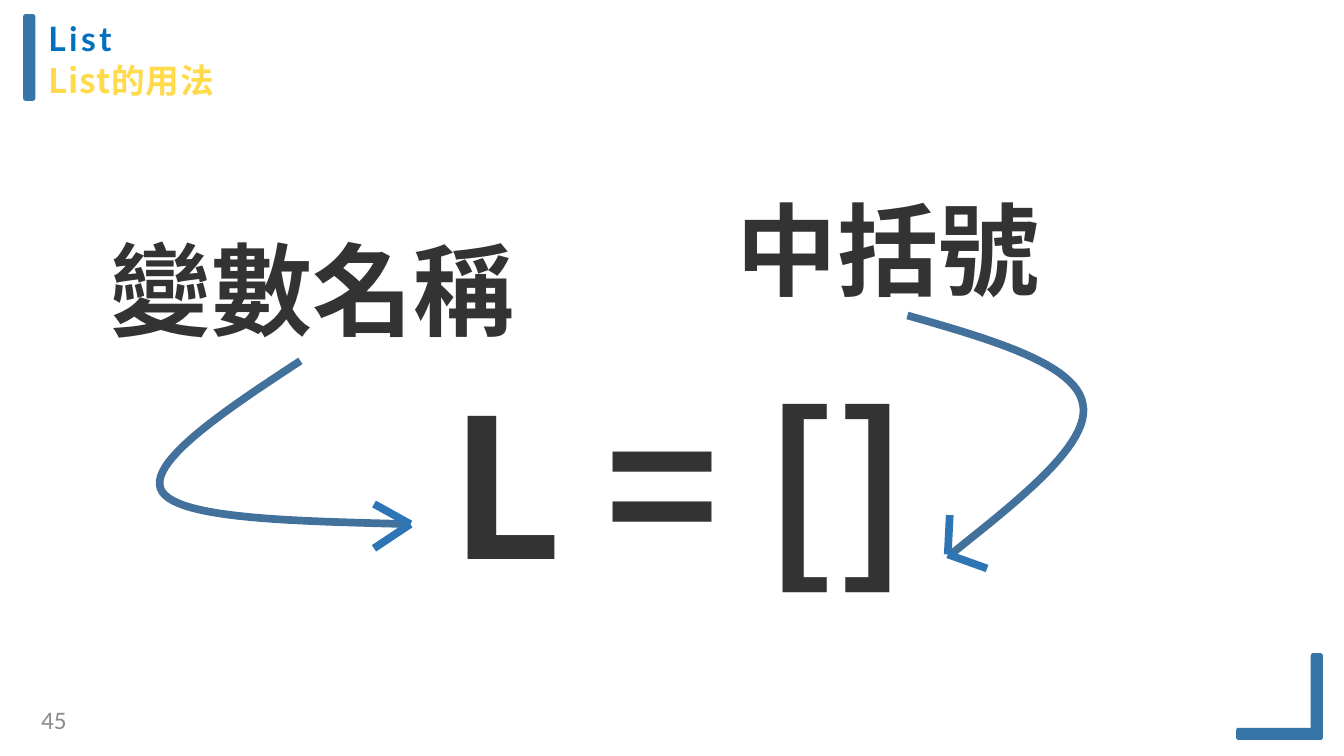
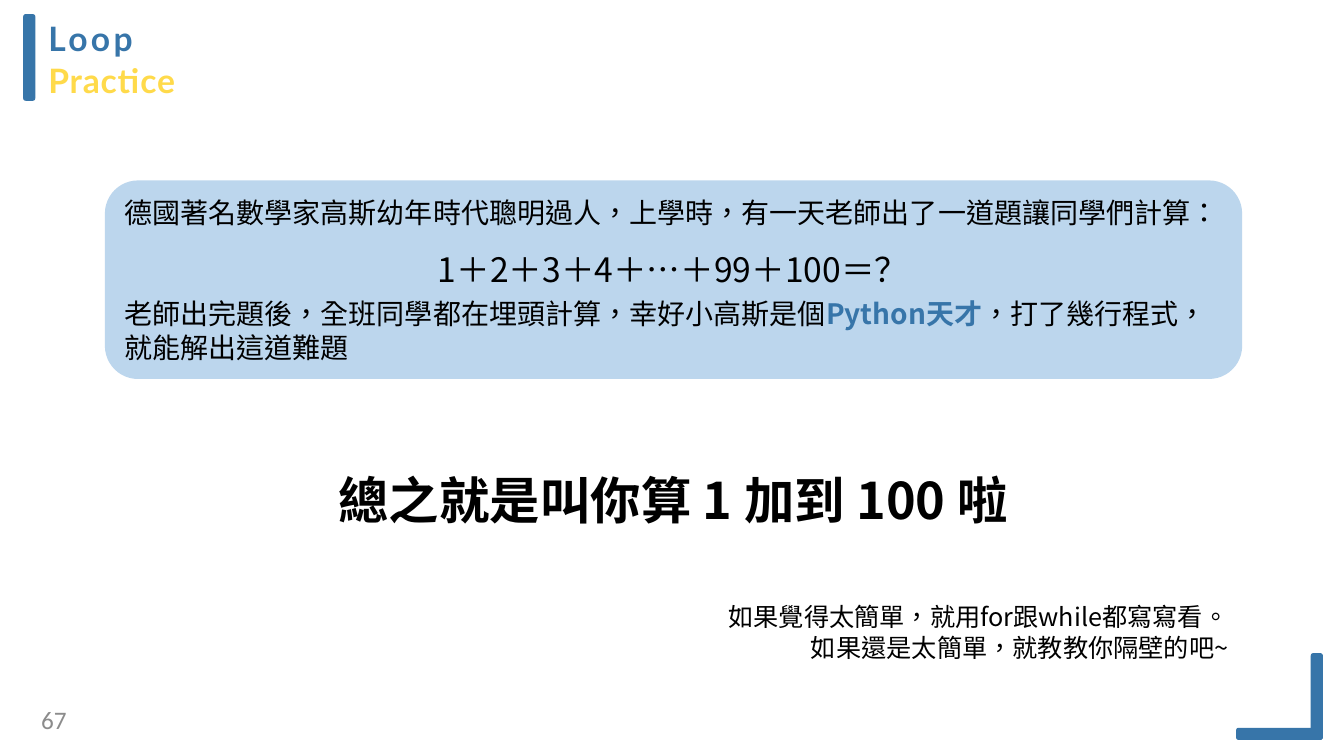
import pptx
import pptx.util
import pptx.dml.color
import pptx.enum.shapes
import pptx.enum.text
import pptx.oxml
import pptx.oxml.ns

Inches, Pt = pptx.util.Inches, pptx.util.Pt
Shape = pptx.enum.shapes.MSO_SHAPE
Line = pptx.enum.shapes.MSO_CONNECTOR
Align = pptx.enum.text.PP_ALIGN
Anchor = pptx.enum.text.MSO_ANCHOR

BLUE, YELLOW, SKY = "3775A9", "FFDA4A", "BCD6ED"
INK, BLACK, GRAY = "333333", "000000", "8C8C8C"
CURVE, HEAD = "42719B", "2E75B5"
SANS, BOLD = "Noto Sans CJK SC", "Noto Sans CJK TC"


def rgb(code):
    return pptx.dml.color.RGBColor.from_string(code)


def style(run, size, color, bold=False, font=SANS, track=0):
    run.font.size, run.font.bold, run.font.name = Pt(size), bold, font
    run.font.color.rgb = rgb(color)
    props = run._r.get_or_add_rPr()
    props.set("lang", "zh-TW")
    if track:
        props.set("spc", str(round(track * 100)))
    east = pptx.oxml.ns.qn("a:ea")
    props.find(pptx.oxml.ns.qn("a:latin")).addnext(
        props.makeelement(east, {"typeface": font}))


def inset(frame, left=0.1, top=0.05):
    frame.margin_left = frame.margin_right = Inches(left)
    frame.margin_top = frame.margin_bottom = Inches(top)
    frame.word_wrap = True


def label(slide, box, text, size, color, align=Align.LEFT, pad=(0.1, 0.05), **look):
    frame = slide.shapes.add_textbox(*map(Inches, box)).text_frame
    inset(frame, *pad)
    frame.text = text
    for para in frame.paragraphs:
        para.alignment = align
        for run in para.runs:
            style(run, size, color, **look)


def block(slide, kind, box, color):
    shape = slide.shapes.add_shape(kind, *map(Inches, box))
    shape.shadow.inherit = False
    shape.fill.solid()
    shape.fill.fore_color.rgb = rgb(color)
    shape.line.fill.background()
    return shape


def band(slide, box):
    bar = block(slide, Shape.ROUNDED_RECTANGLE, box, BLUE)
    bar.adjustments[0] = 0.2


def head(slide, box, topic, part, color, font):
    title = slide.shapes.title
    title.left, title.top, title.width, title.height = map(Inches, box)
    frame = title.text_frame
    inset(frame, 0, 0.02)
    frame.auto_size = pptx.enum.text.MSO_AUTO_SIZE.NONE
    frame.vertical_anchor = Anchor.TOP
    frame.text = f"{topic}\n{part}"
    first, second = frame.paragraphs
    first.alignment = second.alignment = Align.LEFT
    second.space_before = Pt(1)
    style(first.runs[0], 24, color, True, "Lato", 2.4)
    style(second.runs[0], 24, YELLOW, True, font, 0.6)


def page(deck, topic, part, number, color=BLUE, font="Lato"):
    """Add a slide with its title, bands and number."""
    slide = deck.slides.add_slide(deck.slide_layouts[5])
    head(slide, (0.48, 0.16, 4.52, 0.84), topic, part, color, font)
    for box in ((0.23, 0.14, 0.12, 0.86), (13, 6.48, 0.12, 0.86),
                (12.26, 7.22, 0.86, 0.12)):
        band(slide, box)
    label(slide, (0.08, 6.99, 0.58, 0.3), str(number), 18, GRAY,
          Align.RIGHT, (0, 0), font="Calibri")
    return slide


def bezier(start, *bends, steps=24):
    """List the points of joined cubic curves, each given as three points."""
    dots = [start]
    for one, two, end in bends:
        for step in range(1, steps + 1):
            t = step / steps
            parts = ((1 - t) ** 3, 3 * t * (1 - t) ** 2, 3 * t * t * (1 - t), t ** 3)
            dots.append(tuple(
                sum(w * p[axis] for w, p in zip(parts, (start, one, two, end)))
                for axis in (0, 1)))
        start = end
    return dots


def arrow(slide, origin, dots, tip, wings):
    """Draw a curved arrow; all points are measured from origin."""
    def place(dot):
        return tuple(Inches(o + d) for o, d in zip(origin, dot))

    first, *rest = map(place, dots)
    path = slide.shapes.build_freeform(*first, scale=1.0)
    path.add_line_segments(rest, close=False)
    curve = path.convert_to_shape()
    curve.shadow.inherit = False
    curve.fill.background()
    strokes = [(curve, CURVE)]
    for wing in wings:
        stroke = slide.shapes.add_connector(Line.STRAIGHT, *place(wing), *place(tip))
        stroke._element.spPr.append(pptx.oxml.parse_xml(
            f"<a:effectLst {pptx.oxml.ns.nsdecls('a')}/>"))
        strokes.append((stroke, HEAD))
    for stroke, color in strokes:
        stroke.line.color.rgb = rgb(color)
        stroke.line.width = Pt(5.5)


def usage(deck):
    slide = page(deck, "List", "List的用法", 45, "0070C0", SANS)
    label(slide, (2.49, 3.58, 8.51, 2.42), "L = []", 138, INK,
          Align.CENTER, bold=True, font=BOLD)
    for left, top, text in ((1, 2.21, "變數名稱"), (7.21, 1.81, "中括號")):
        label(slide, (left, top, 4.36, 1.31), text, 72, INK, bold=True, font=BOLD)
    arrow(slide, (1.58, 3.58),
          bezier((1.4, 0), ((0.62, 0.51), (-0.15, 1.03), (0.03, 1.3)),
                 ((0.21, 1.57), (1.35, 1.59), (2.49, 1.62))),
          (2.49, 1.62), ((2.13, 1.42), (2.13, 1.86)))
    arrow(slide, (9, 3.13),
          bezier((0, 0), ((0.84, 0.24), (1.67, 0.48), (1.74, 0.88)),
                 ((1.82, 1.27), (1.12, 1.82), (0.43, 2.37))),
          (0.4, 2.37), ((0.42, 1.98), (0.79, 2.51)))


def story(slide, box):
    left, top, width, _ = box
    card = block(slide, Shape.ROUNDED_RECTANGLE, box, SKY)
    frame = card.text_frame
    inset(frame)
    frame.vertical_anchor = Anchor.MIDDLE
    frame.text = "德國著名數學家高斯幼年時代聰明過人，上學時，有一天老師出了一道題讓同學們計算："
    second = frame.add_paragraph()
    second.space_before = Pt(48)
    for text in ("老師出完題後，全班同學都在埋頭計算，幸好小高斯是個", "Python天才",
                 "，打了幾行程式，就能解出這道難題"):
        second.add_run().text = text
    for para in frame.paragraphs:
        para.alignment = Align.LEFT
        for run in para.runs:
            key = run.text.startswith("Python")
            style(run, 20, BLUE if key else BLACK, key)
    label(slide, (left + 2.38, top + 0.63, width - 4.77, 0.5),
          "1＋2＋3＋4＋…＋99＋100＝？", 24, BLACK, Align.CENTER)


def practice(deck):
    slide = page(deck, "Loop", "Practice", 67)
    story(slide, (1.04, 1.79, 11.28, 1.97))
    label(slide, (2.34, 4.6, 8.67, 0.71), "總之就是叫你算 1 加到 100 啦", 36, BLACK,
          Align.CENTER, bold=True)
    label(slide, (3.2, 5.92, 9.08, 0.71),
          "如果覺得太簡單，就用for跟while都寫寫看。\n如果還是太簡單，就教教你隔壁的吧~",
          18, BLACK, Align.RIGHT)


def main():
    deck = pptx.Presentation()
    deck.slide_width, deck.slide_height = Inches(13.33), Inches(7.5)
    usage(deck)
    practice(deck)
    deck.save("out.pptx")


if __name__ == "__main__":
    main()
